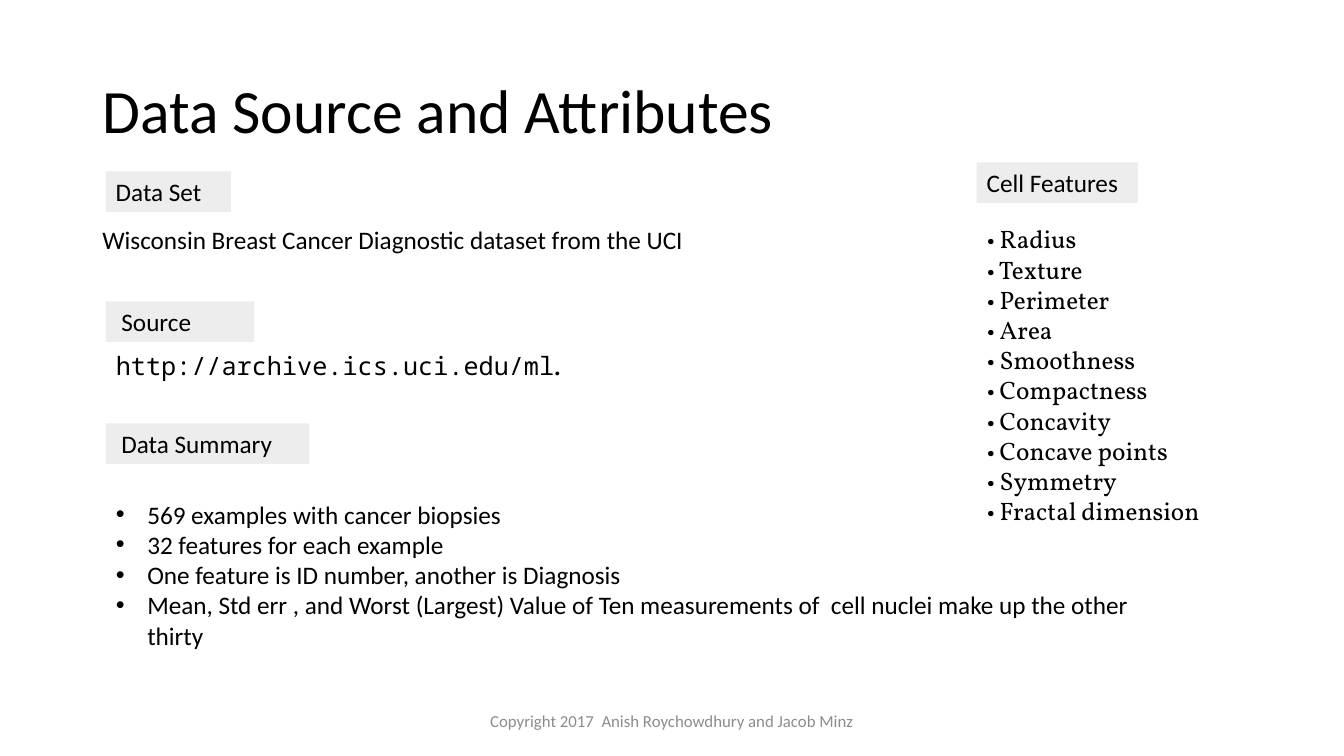
from pptx import Presentation
from pptx.dml.color import RGBColor
from pptx.enum import shapes, text
from pptx.oxml import parse_xml
from pptx.oxml.ns import nsdecls
from pptx.util import Pt

BLACK, GREY, PALE = "000000", "8C8C8C", "EDEDED"
SANS, MONO, SERIF = "Calibri", "Noto Sans Mono", "Vollkorn"


def color(code):
    return RGBColor.from_string(code)


class Page:
    def __init__(self, deck):
        self.slide = deck.slides.add_slide(deck.slide_layouts[5])

    def add_text(self, par, words, size=18, font=SANS, ink=BLACK):
        run = par.add_run()
        run.text = words
        run.font.size = Pt(size)
        run.font.name = font
        run.font.color.rgb = color(ink)

    def title(self, words, box):
        head = self.slide.shapes.title
        head.left, head.top, head.width, head.height = map(Pt, box)
        frame = head.text_frame
        frame.word_wrap = True
        frame.auto_size = text.MSO_AUTO_SIZE.NONE
        frame.vertical_anchor = text.MSO_ANCHOR.MIDDLE
        par = frame.paragraphs[0]
        par.alignment = text.PP_ALIGN.LEFT
        par.line_spacing = 0.9
        self.add_text(par, words, 44)

    def frame(self, box, wrap=True):
        frame = self.slide.shapes.add_textbox(*map(Pt, box)).text_frame
        frame.word_wrap = wrap
        frame.auto_size = text.MSO_AUTO_SIZE.SHAPE_TO_FIT_TEXT
        return frame

    def line(self, runs, box):
        par = self.frame(box, wrap=False).paragraphs[0]
        for words, size, font in runs:
            self.add_text(par, words, size, font)

    def label(self, words, left, top, width):
        tag = self.slide.shapes.add_shape(
            shapes.MSO_SHAPE.RECTANGLE, Pt(left), Pt(top), Pt(width), Pt(29))
        tag.shadow.inherit = False
        tag.fill.solid()
        tag.fill.fore_color.rgb = color(PALE)
        tag.line.fill.background()
        frame = tag.text_frame
        frame.word_wrap = True
        frame.vertical_anchor = text.MSO_ANCHOR.TOP
        par = frame.paragraphs[0]
        par.alignment = text.PP_ALIGN.LEFT
        self.add_text(par, words)

    def items(self, rows, box, font=SANS, indent=0):
        frame = self.frame(box)
        for i, row in enumerate(rows):
            par = frame.add_paragraph() if i else frame.paragraphs[0]
            if indent:
                self.bullet(par, indent)
            self.add_text(par, row, font=font)

    def bullet(self, par, indent):
        props = par._p.get_or_add_pPr()
        props.set("marL", str(Pt(indent)))
        props.set("indent", str(-Pt(indent)))
        props.append(parse_xml(f'<a:buFont {nsdecls("a")} typeface="Arial"/>'))
        props.append(parse_xml(f'<a:buChar {nsdecls("a")} char="•"/>'))

    def footer(self, words, box):
        frame = self.frame(box)
        frame.auto_size = text.MSO_AUTO_SIZE.NONE
        frame.vertical_anchor = text.MSO_ANCHOR.MIDDLE
        par = frame.paragraphs[0]
        par.alignment = text.PP_ALIGN.CENTER
        self.add_text(par, words, 12, ink=GREY)


def main():
    deck = Presentation()
    deck.slide_width, deck.slide_height = Pt(960), Pt(540)
    page = Page(deck)

    # Title and footer
    page.title("Data Source and Attributes", (66, 28.75, 828, 104.4))
    page.footer("Copyright 2017  Anish Roychowdhury and Jacob Minz",
                (318, 500.5, 324, 28.75))

    # Section labels
    for words, left, top, width in (
            ("Data Set", 75.6, 122.4, 89.3),
            (" Source", 75.6, 215.3, 106),
            (" Data Summary", 75.6, 302.4, 145.4),
            ("Cell Features", 697.7, 116, 115.2)):
        page.label(words, left, top, width)

    # Data set and its source
    page.line([("Wisconsin Breast Cancer Diagnostic dataset from the UCI", 18, SANS)],
              (66, 157, 434.2, 29))
    page.line([("http://archive.ics.uci.edu/ml", 18, MONO), (".", 20, SERIF)],
              (75.6, 244.8, 334, 31.7))

    # Data summary
    page.items(["569 examples with cancer biopsies",
                "32 features for each example",
                "One feature is ID number, another is Diagnosis",
                "Mean, Std err , and Worst (Largest) Value of Ten measurements of"
                "  cell nuclei make up the other thirty"],
               (75.6, 352.8, 769, 116.6), indent=22.5)

    # Cell features
    cells = ("Radius", "Texture", "Perimeter", "Area", "Smoothness", "Compactness",
             "Concavity", "Concave points", "Symmetry", "Fractal dimension")
    page.items([f"• {cell}" for cell in cells], (697.7, 156.2, 179.3, 225.4), SERIF)

    deck.save("out.pptx")


if __name__ == "__main__":
    main()
